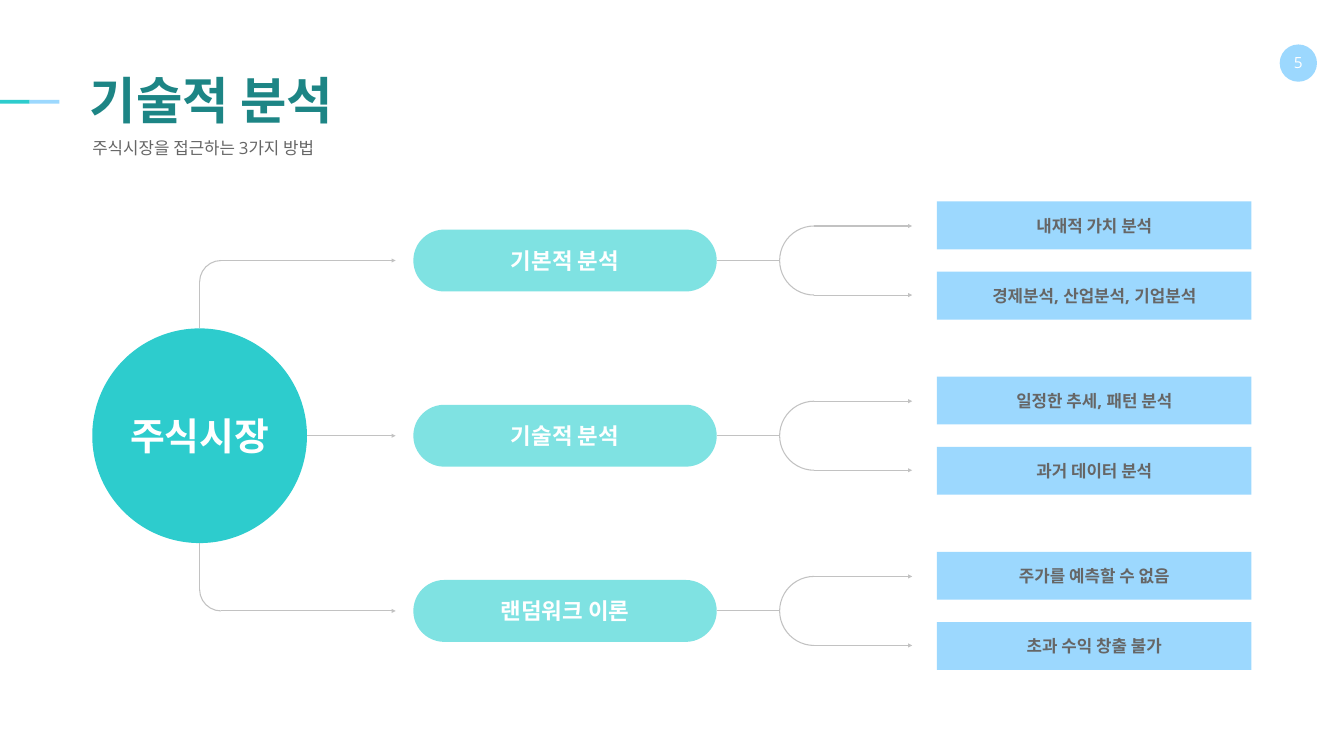
import dataclasses

import pptx
import pptx.dml.color
import pptx.enum.shapes
import pptx.enum.text
import pptx.oxml.ns
import pptx.shapes.autoshape
import pptx.shapes.connector
import pptx.text.text
import pptx.util
from lxml import etree

Cm = pptx.util.Cm
SHAPE = pptx.enum.shapes.MSO_SHAPE
CENTER = pptx.enum.text.PP_ALIGN.CENTER
MIDDLE = pptx.enum.text.MSO_ANCHOR.MIDDLE

COLORS = {
    "teal": "2DCCCD",
    "dark_teal": "1D8585",
    "light_teal": "7FE2E2",
    "sky": "9CD8FE",
    "line": "C2C2C2",
    "gray": "666666",
    "white": "FFFFFF",
}
FONT = "Open Sans"

# All lengths below are in centimetres.
MID_Y, ROW_PITCH = 21.96, 8.83
ROOT_X, ROOT_SIZE = 10.06, 10.82
CORNER_SIZE = 2.16
PILL_LEFT, PILL_WIDTH, PILL_HEIGHT = 20.83, 15.29, 3.12
FORK_LEFT, FORK_SIZE = 39.29, 3.48
BOX_LEFT, BOX_WIDTH, BOX_HEIGHT, BOX_PITCH = 47.22, 15.85, 2.41, 3.54
TRUNK_TIP, BRANCH_TIP = 19.94, 45.97


@dataclasses.dataclass(frozen=True)
class Area:
    left: float
    top: float
    width: float
    height: float

    def lengths(self) -> list[int]:
        return [Cm(value) for value in dataclasses.astuple(self)]


@dataclasses.dataclass(frozen=True)
class TextStyle:
    size: int
    color: str
    bold: bool = False


@dataclasses.dataclass(frozen=True)
class Approach:
    name: str
    details: tuple[str, str]


APPROACHES = (
    Approach("기본적 분석", ("내재적 가치 분석", "경제분석, 산업분석, 기업분석")),
    Approach("기술적 분석", ("일정한 추세, 패턴 분석", "과거 데이터 분석")),
    Approach("랜덤워크 이론", ("주가를 예측할 수 없음", "초과 수익 창출 불가")),
)


def rgb(color: str) -> pptx.dml.color.RGBColor:
    return pptx.dml.color.RGBColor.from_string(COLORS[color])


def centered(x: float, y: float, width: float, height: float) -> Area:
    """Area of the given size around the point (x, y)."""
    return Area(x - width / 2, y - height / 2, width, height)


def write(frame: pptx.text.text.TextFrame, text: str, style: TextStyle) -> None:
    frame.word_wrap = True
    frame.margin_left = frame.margin_right = 0
    frame.margin_top = frame.margin_bottom = 0
    run = frame.paragraphs[0].add_run()
    run.text = text
    run.font.name = FONT
    run.font.size = pptx.util.Pt(style.size)
    run.font.bold = style.bold
    run.font.color.rgb = rgb(style.color)


def add_label(slide, area: Area, text: str, style: TextStyle, align=CENTER) -> None:
    frame = slide.shapes.add_textbox(*area.lengths()).text_frame
    write(frame, text, style)
    frame.paragraphs[0].alignment = align


def add_filled(slide, kind, area: Area, color: str) -> pptx.shapes.autoshape.Shape:
    shape = slide.shapes.add_shape(kind, *area.lengths())
    shape.shadow.inherit = False
    shape.fill.solid()
    shape.fill.fore_color.rgb = rgb(color)
    shape.line.fill.background()
    return shape


def add_arc(slide, area: Area, start: int, end: int) -> None:
    """Arc drawn clockwise between two angles in degrees, 0 pointing right."""
    arc = slide.shapes.add_shape(SHAPE.ARC, *area.lengths())
    arc.shadow.inherit = False
    arc.fill.background()
    arc.line.color.rgb = rgb("line")
    arc.line.width = pptx.util.Pt(1.5)
    # Angles are stored in 1/60000 degree; adjustments count in 100000s.
    arc.adjustments[0] = start * 0.6
    arc.adjustments[1] = end * 0.6


def add_line(
    slide, x1: float, y1: float, x2: float, y2: float, arrow: bool = False
) -> pptx.shapes.connector.Connector:
    line = slide.shapes.add_connector(
        pptx.enum.shapes.MSO_CONNECTOR.STRAIGHT, Cm(x1), Cm(y1), Cm(x2), Cm(y2)
    )
    line.line.color.rgb = rgb("line")
    line.line.width = pptx.util.Pt(1.5)
    if arrow:
        tail = etree.SubElement(line.get_or_add_ln(), pptx.oxml.ns.qn("a:tailEnd"))
        tail.set("type", "triangle")
    etree.SubElement(line._element.spPr, pptx.oxml.ns.qn("a:effectLst"))
    return line


def add_header(slide) -> None:
    for index, color in enumerate(("teal", "sky")):
        add_filled(slide, SHAPE.RECTANGLE, Area(index * 1.5, 5.03, 1.5, 0.2), color)
    add_filled(slide, SHAPE.OVAL, Area(64.49, 2.24, 1.88, 1.88), "sky")
    add_label(slide, Area(64.67, 2.67, 1.5, 0.94), "5", TextStyle(22, "white"))

    title = slide.shapes.title
    title.left, title.top, title.width, title.height = Area(
        4.52, 3.81, 58.55, 2.82
    ).lengths()
    write(title.text_frame, "기술적 분석", TextStyle(72, "dark_teal", True))
    title.text_frame.vertical_anchor = MIDDLE
    title.text_frame.auto_size = pptx.enum.text.MSO_AUTO_SIZE.NONE
    title.text_frame.paragraphs[0].alignment = pptx.enum.text.PP_ALIGN.LEFT
    title.text_frame.paragraphs[0].line_spacing = 0.9
    add_label(
        slide,
        Area(4.65, 6.96, 58.42, 1.17),
        "주식시장을 접근하는 3가지 방법",
        TextStyle(24, "gray"),
        pptx.enum.text.PP_ALIGN.LEFT,
    )


def add_root(slide) -> None:
    """Market circle with its three trunk arrows."""
    radius, bend = ROOT_SIZE / 2, CORNER_SIZE / 2
    root = centered(ROOT_X, MID_Y, ROOT_SIZE, ROOT_SIZE)
    add_filled(slide, SHAPE.OVAL, root, "teal")
    add_label(
        slide,
        centered(ROOT_X, MID_Y, 7.92, 2.31),
        "주식시장",
        TextStyle(54, "white", True),
    )
    add_line(slide, ROOT_X + radius, MID_Y, TRUNK_TIP, MID_Y, arrow=True)
    for side, start in ((-1, 180), (1, 90)):
        y = MID_Y + side * ROW_PITCH
        bend_y = y - side * bend
        add_line(slide, ROOT_X, MID_Y + side * radius, ROOT_X, bend_y)
        corner = centered(ROOT_X + bend, bend_y, CORNER_SIZE, CORNER_SIZE)
        add_arc(slide, corner, start, start + 90)
        add_line(slide, ROOT_X + bend, y, TRUNK_TIP, y, arrow=True)


def add_approach(slide, approach: Approach, y: float) -> None:
    pill_x = PILL_LEFT + PILL_WIDTH / 2
    pill_area = centered(pill_x, y, PILL_WIDTH, PILL_HEIGHT)
    pill = add_filled(slide, SHAPE.ROUNDED_RECTANGLE, pill_area, "light_teal")
    pill.adjustments[0] = 0.5
    name_area = centered(pill_x, y, 12.55, 1.37)
    add_label(slide, name_area, approach.name, TextStyle(32, "white", True))

    stem = add_line(slide, PILL_LEFT + PILL_WIDTH, y, FORK_LEFT, y)
    stem.begin_connect(pill, 3)
    fork_x = FORK_LEFT + FORK_SIZE / 2
    add_arc(slide, centered(fork_x, y, FORK_SIZE, FORK_SIZE), 90, 270)

    box_x = BOX_LEFT + BOX_WIDTH / 2
    for side, detail in zip((-0.5, 0.5), approach.details):
        branch_y = y + side * FORK_SIZE
        add_line(slide, fork_x, branch_y, BRANCH_TIP, branch_y, arrow=True)
        box_y = y + side * BOX_PITCH
        box_area = centered(box_x, box_y, BOX_WIDTH, BOX_HEIGHT)
        add_filled(slide, SHAPE.RECTANGLE, box_area, "sky")
        detail_area = centered(box_x, box_y, 11.71, 1.02)
        add_label(slide, detail_area, detail, TextStyle(24, "gray", True))


def main() -> None:
    deck = pptx.Presentation()
    deck.slide_width, deck.slide_height = Cm(67.73), Cm(38.1)
    slide = deck.slides.add_slide(deck.slide_layouts[5])
    add_header(slide)
    add_root(slide)
    for row, approach in enumerate(APPROACHES, start=-1):
        add_approach(slide, approach, MID_Y + row * ROW_PITCH)
    deck.save("out.pptx")


if __name__ == "__main__":
    main()
